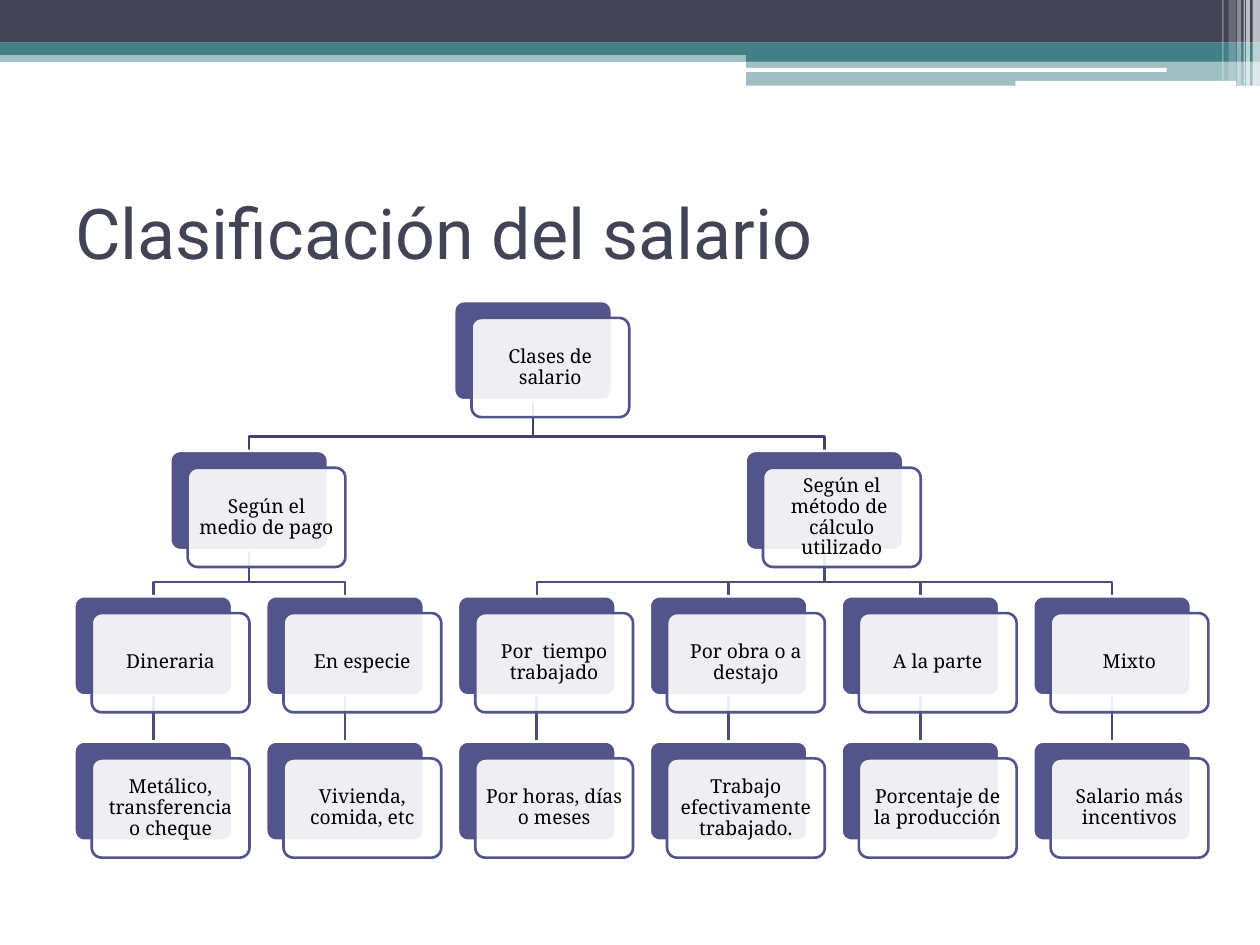
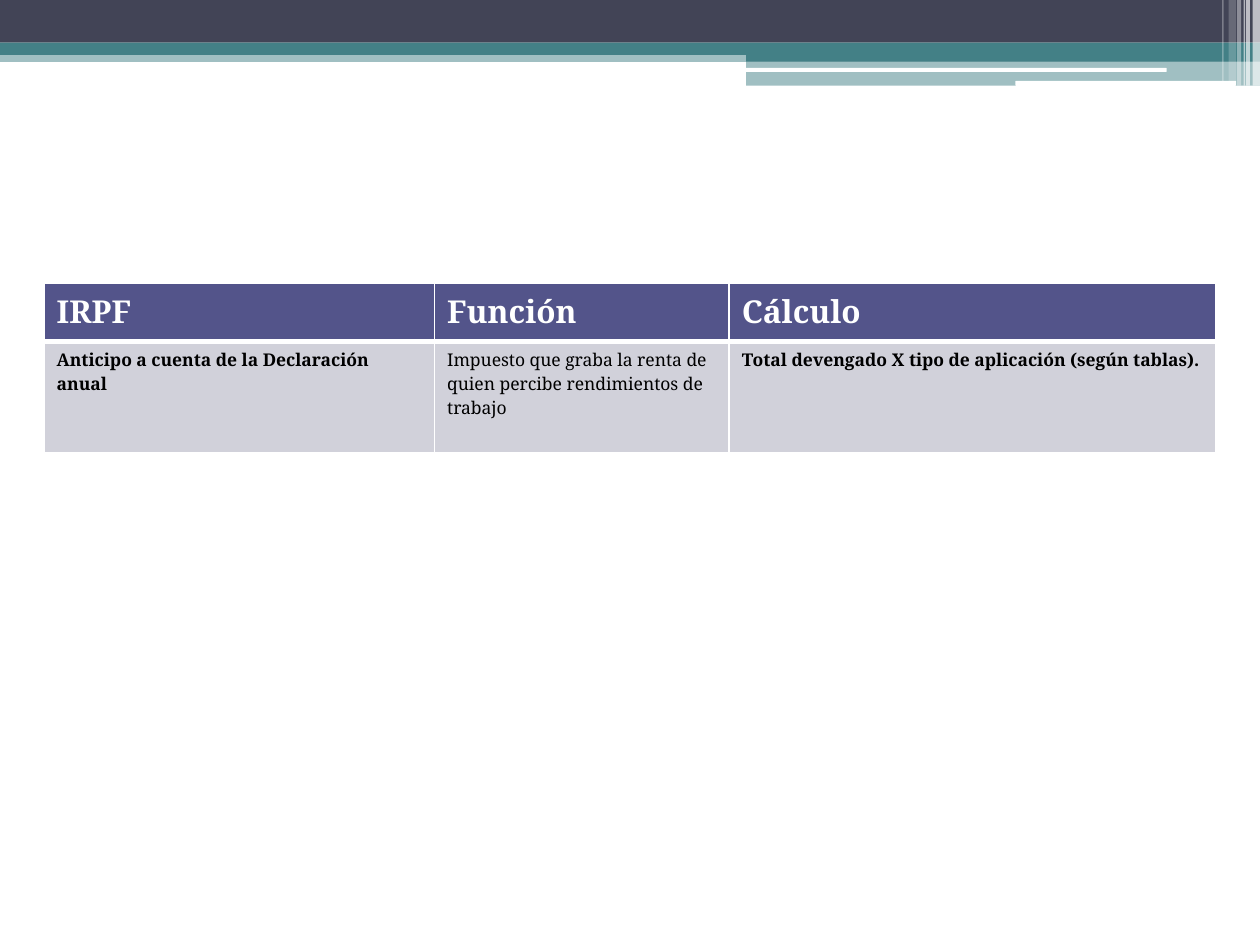
"""Build two slides on the classes of salary and the IRPF withholding."""
import pptx
import pptx.dml.color
import pptx.enum.shapes
import pptx.enum.text
import pptx.oxml
import pptx.oxml.ns
import pptx.util
from lxml import etree

Cm = pptx.util.Cm
Pt = pptx.util.Pt
qn = pptx.oxml.ns.qn
SHAPES = pptx.enum.shapes.MSO_SHAPE
ANCHOR = pptx.enum.text.MSO_ANCHOR
ALIGN = pptx.enum.text.PP_ALIGN

COLORS = {
    "ink": "424456",
    "teal": "438086",
    "indigo": "53548A",
    "trunk": "42436F",
    "branch": "4B4C7D",
    "cell": "D1D1DA",
    "white": "FFFFFF",
    "black": "000000",
}
TITLE_FONT = "Roboto"
BODY_FONT = "Noto Serif"

SLIDE_WIDTH, SLIDE_HEIGHT = 25.4, 19.05
CARD_WIDTH, CARD_HEIGHT = 3.18, 2.0
CARD_SHIFT_X, CARD_SHIFT_Y = 0.35, 0.34
LEVEL_TOPS = (0, 3.02, 5.95, 8.88)
LAST_COLUMN = 5
BUS_GAP = 0.29

BANDS = (
    (0, 1.02, 25.4, 0.23, "teal", 50),
    (0, 0, 25.4, 0.86, "ink", 100),
    (0, 0.86, 25.4, 0.25, "teal", 100),
    (15.04, 0.99, 10.36, 0.25, "teal", 100),
    (15.04, 1.22, 10.36, 0.51, "teal", 50),
)
RULES = ((15.01, 1.37, 8.51, 0.08), (20.47, 1.63, 4.45, 0.1))
STRIPES = (
    (25.25, 0.15, 1.73, 65),
    (25.12, 0.08, 1.73, 65),
    (25.07, 0.03, 1.73, 60),
    (24.94, 0.08, 1.73, 40),
    (24.77, 0.15, 1.63, 20),
    (24.64, 0.03, 1.63, 30),
)

SALARY_TREE = ("Clases de salario", 1.98, [
    ("Según el medio de pago", 0.5, [
        ("Dineraria", 0, [("Metálico, transferencia o cheque", 0, [])]),
        ("En especie", 1, [("Vivienda, comida, etc", 1, [])]),
    ]),
    ("Según el método de  cálculo utilizado", 3.5, [
        ("Por  tiempo trabajado", 2, [("Por horas, días o meses", 2, [])]),
        ("Por obra o a destajo", 3, [("Trabajo efectivamente trabajado.", 3, [])]),
        ("A la parte", 4, [("Porcentaje de la producción", 4, [])]),
        ("Mixto", 5, [("Salario más incentivos", 5, [])]),
    ]),
])

TAX_HEADINGS = ("IRPF", "Función", "Cálculo")
TAX_DETAILS = (
    ("Anticipo a cuenta de la Declaración anual", True),
    ("Impuesto que graba la renta de quien percibe rendimientos de trabajo", False),
    ("Total devengado X tipo de aplicación (según tablas).", True),
)
TAX_COLUMNS = (7.87, 5.94, 9.8)
TAX_ROWS = (1.17, 2.24)


def rgb(name):
    """Return the named colour."""
    return pptx.dml.color.RGBColor.from_string(COLORS[name])


def write_text(frame, text, size=11, font=BODY_FONT, color="black", bold=False,
               align=ALIGN.LEFT, line_spacing=None):
    """Write one formatted paragraph in a text frame."""
    frame.word_wrap = True
    paragraph = frame.paragraphs[0]
    paragraph.alignment = align
    paragraph.line_spacing = line_spacing
    run = paragraph.add_run()
    run.text = text
    run.font.size = Pt(size)
    run.font.name = font
    run.font.bold = bold
    run.font.color.rgb = rgb(color)


def add_block(shapes, box, fill, opacity=100, line=None, corner=None):
    """Add a rectangle, rounded when a corner ratio is given."""
    kind = SHAPES.RECTANGLE if corner is None else SHAPES.ROUNDED_RECTANGLE
    shape = shapes.add_shape(kind, *map(Cm, box))
    shape.shadow.inherit = False
    if corner is not None:
        shape.adjustments[0] = corner
    shape.fill.solid()
    shape.fill.fore_color.rgb = rgb(fill)
    if opacity < 100:
        color = shape.element.spPr.find(qn("a:solidFill"))[0]
        etree.SubElement(color, qn("a:alpha"), val=str(opacity * 1000))
    if line:
        shape.line.color.rgb = rgb(line)
        shape.line.width = Pt(1.5)
    else:
        shape.line.fill.background()
    return shape


def add_header(slide, box):
    """Draw the coloured bands, white rules and corner stripes."""
    left, top = box[:2]
    for x, y, width, height, color, opacity in BANDS:
        add_block(slide.shapes, (left + x, top + y, width, height), color, opacity)
    for x, y, width, height in RULES:
        add_block(slide.shapes, (left + x, top + y, width, height), "white", corner=0.167)
    for x, width, height, opacity in STRIPES:
        add_block(slide.shapes, (left + x, top, width, height), "white", opacity)


def add_title(slide, box, text):
    """Write the slide title."""
    frame = slide.shapes.add_textbox(*map(Cm, box)).text_frame
    frame.vertical_anchor = ANCHOR.MIDDLE
    write_text(frame, text, size=40, font=TITLE_FONT, color="ink")


def card_place(box, column, level):
    """Return the left and top of the card at a column and level."""
    left, top, width = box[:3]
    pitch = (width - CARD_WIDTH - CARD_SHIFT_X) / LAST_COLUMN
    return left + column * pitch, top + LEVEL_TOPS[level]


def add_link(shapes, start, end, color):
    """Join a parent to a child, with an elbow unless they are aligned."""
    (start_x, start_y), (end_x, end_y) = start, end
    if start_x == end_x:
        link = shapes.add_connector(
            pptx.enum.shapes.MSO_CONNECTOR.STRAIGHT,
            Cm(start_x), Cm(start_y), Cm(end_x), Cm(end_y))
        etree.SubElement(link.element.spPr, qn("a:effectLst"))
    else:
        bus = end_y - BUS_GAP
        builder = shapes.build_freeform(Cm(start_x), Cm(start_y))
        corners = ((start_x, bus), (end_x, bus), end)
        builder.add_line_segments([(Cm(x), Cm(y)) for x, y in corners], close=False)
        link = builder.convert_to_shape()
        link.shadow.inherit = False
        link.fill.background()
    link.line.color.rgb = rgb(color)
    link.line.width = Pt(1.5)


def add_links(shapes, box, node, level=0):
    """Draw the links below a node and its descendants."""
    column, children = node[1:]
    left, top = card_place(box, column, level)
    start = (left + CARD_WIDTH / 2, top + CARD_HEIGHT)
    for child in children:
        add_links(shapes, box, child, level + 1)
        child_left, child_top = card_place(box, child[1], level + 1)
        end = (child_left + CARD_WIDTH / 2, child_top)
        add_link(shapes, start, end, "branch" if level else "trunk")


def add_cards(shapes, box, node, level=0):
    """Draw the card of a node and those of its descendants."""
    text, column, children = node
    left, top = card_place(box, column, level)
    add_block(shapes, (left, top, CARD_WIDTH, CARD_HEIGHT), "indigo",
              line="white", corner=0.1)
    card = add_block(
        shapes, (left + CARD_SHIFT_X, top + CARD_SHIFT_Y, CARD_WIDTH, CARD_HEIGHT),
        "white", opacity=90, line="indigo", corner=0.1)
    frame = card.text_frame
    frame.margin_left = frame.margin_right = Cm(0.13)
    frame.margin_top = frame.margin_bottom = Cm(0.13)
    frame.vertical_anchor = ANCHOR.MIDDLE
    write_text(frame, text, align=ALIGN.CENTER, line_spacing=0.9)
    for child in children:
        add_cards(shapes, box, child, level + 1)


def add_tree(slide, box, root):
    """Draw the hierarchy as one group, links behind cards."""
    group = slide.shapes.add_group_shape()
    add_links(group.shapes, box, root)
    add_cards(group.shapes, box, root)


def format_cell(cell, fill, top, bottom):
    """Give a table cell its white borders and its fill."""
    properties = cell._tc.get_or_add_tcPr()
    for edge, width in (("L", 1), ("R", 1), ("T", top), ("B", bottom)):
        line = etree.SubElement(properties, qn("a:ln" + edge), w=str(Pt(width)))
        solid = etree.SubElement(line, qn("a:solidFill"))
        etree.SubElement(solid, qn("a:srgbClr"), val=COLORS["white"])
    cell.fill.solid()
    cell.fill.fore_color.rgb = rgb(fill)


def add_tax_table(slide, box):
    """Add the table that explains the withholding."""
    table = slide.shapes.add_table(
        len(TAX_ROWS), len(TAX_COLUMNS), *map(Cm, box)).table
    table.horz_banding = False
    for row, height in zip(table.rows, TAX_ROWS):
        row.height = Cm(height)
    for index, width in enumerate(TAX_COLUMNS):
        table.columns[index].width = Cm(width)
        heading, detail = table.cell(0, index), table.cell(1, index)
        format_cell(heading, "indigo", top=1, bottom=3)
        write_text(heading.text_frame, TAX_HEADINGS[index], size=18,
                   color="white", bold=True)
        format_cell(detail, "cell", top=3, bottom=1)
        text, bold = TAX_DETAILS[index]
        write_text(detail.text_frame, text, size=10, bold=bold)


def add_slide(presentation):
    """Add a blank slide with the shared header."""
    slide = presentation.slides.add_slide(presentation.slide_layouts[6])
    add_header(slide, (0, 0, SLIDE_WIDTH, 1.73))
    return slide


def main():
    """Build and save the presentation."""
    presentation = pptx.Presentation()
    presentation.slide_width = Cm(SLIDE_WIDTH)
    presentation.slide_height = Cm(SLIDE_HEIGHT)

    classes = add_slide(presentation)
    add_title(classes, (1.27, 3.18, 22.86, 2.97), "Clasificación del salario")
    add_tree(classes, (1.5, 6.07, 22.86, 11.22), SALARY_TREE)

    tax = add_slide(presentation)
    add_tax_table(tax, (0.89, 5.72, sum(TAX_COLUMNS), sum(TAX_ROWS)))

    presentation.save("out.pptx")


main()
